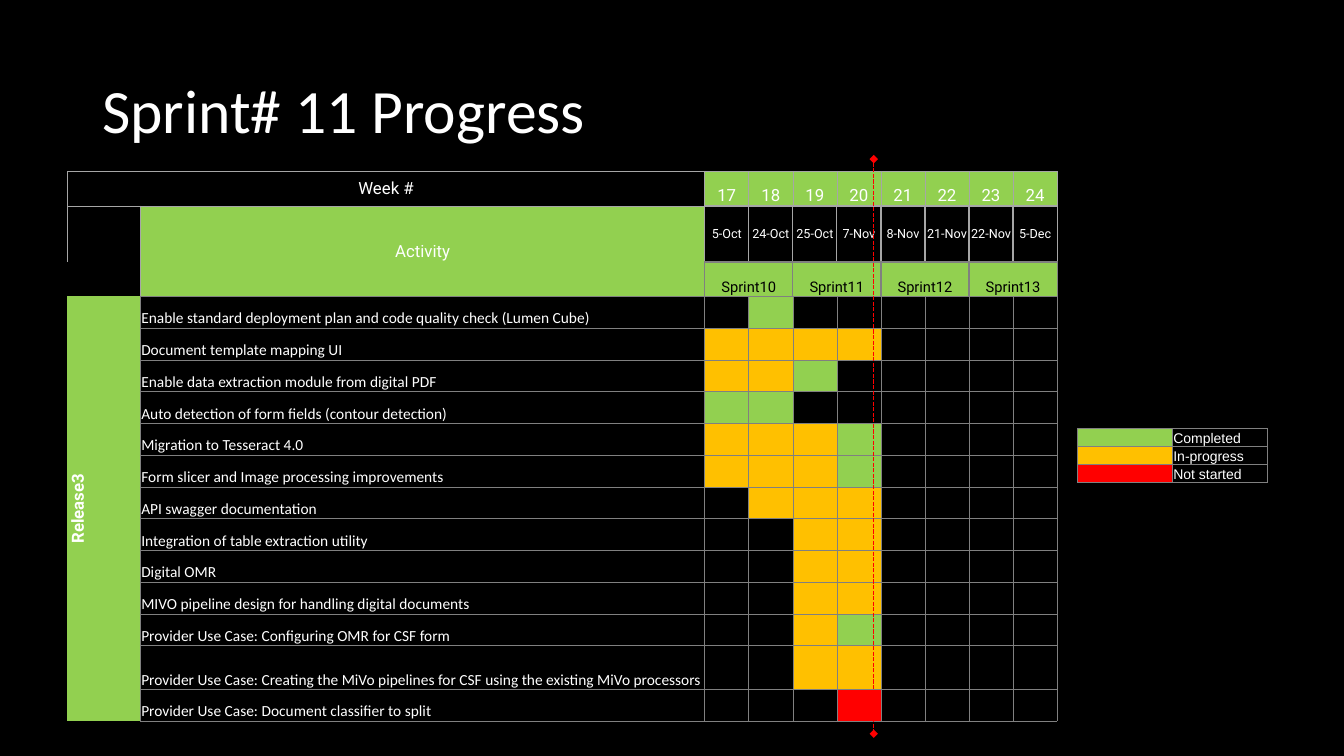
import dataclasses
import itertools
import typing

import lxml.etree
import pptx
import pptx.dml.color
import pptx.enum.dml
import pptx.enum.shapes
import pptx.enum.text
import pptx.oxml.ns
import pptx.util

Cm = pptx.util.Cm
Pt = pptx.util.Pt
Anchor = pptx.enum.text.MSO_ANCHOR
Align = pptx.enum.text.PP_ALIGN

BLACK = pptx.dml.color.RGBColor(0x00, 0x00, 0x00)
WHITE = pptx.dml.color.RGBColor(0xFF, 0xFF, 0xFF)
GREEN = pptx.dml.color.RGBColor(0x92, 0xD0, 0x50)
AMBER = pptx.dml.color.RGBColor(0xFF, 0xC0, 0x00)
RED = pptx.dml.color.RGBColor(0xFF, 0x00, 0x00)
GREY = pptx.dml.color.RGBColor(0x80, 0x80, 0x80)
SILVER = pptx.dml.color.RGBColor(0xA6, 0xA6, 0xA6)

SIDES = "LRTB"
STATUS_FILLS = {"-": BLACK, "C": GREEN, "P": AMBER, "N": RED}


class Edge(typing.NamedTuple):
    color: pptx.dml.color.RGBColor
    width: float


class Activity(typing.NamedTuple):
    name: str
    weeks: str


@dataclasses.dataclass
class Label:
    text: str
    font: dict
    align: Align = Align.CENTER
    anchor: Anchor = Anchor.MIDDLE


@dataclasses.dataclass
class Block:
    row: int
    column: int
    fill: pptx.dml.color.RGBColor
    edges: dict
    label: Label | None = None
    rows: int = 1
    columns: int = 1
    vertical: bool = False


def font_format(name: str, size: float, bold: bool = False) -> dict:
    return {"name": name, "size": Pt(size), "bold": bold}


HEADING = font_format("Roboto", 12)
DATE = font_format("Roboto", 9)
SPRINT = font_format("Roboto", 10.5)
RELEASE = font_format("Roboto", 12, True)
ACTIVITY = font_format("Calibri", 11)
LEGEND = font_format("Arial", 10)
TITLE = font_format("Calibri", 44)

WEEKS = range(17, 25)
DATES = ["5-Oct", "24-Oct", "25-Oct", "7-Nov", "8-Nov", "21-Nov", "22-Nov", "5-Dec"]
SPRINTS = range(10, 14)
FIRST_WEEK = 2
FIRST_ACTIVITY = 3
ACTIVITIES = [
    Activity("Enable standard deployment plan and code quality check (Lumen Cube)", "-C"),
    Activity("Document template mapping UI", "PPPP"),
    Activity("Enable data extraction module from digital PDF", "PPC"),
    Activity("Auto detection of form fields (contour detection)", "CC"),
    Activity("Migration to Tesseract 4.0", "PPPC"),
    Activity("Form slicer and Image processing improvements", "PPPC"),
    Activity("API swagger documentation", "-PPP"),
    Activity("Integration of table extraction utility", "--PP"),
    Activity("Digital OMR", "--PP"),
    Activity("MIVO pipeline design for handling digital documents", "--PP"),
    Activity("Provider Use Case: Configuring OMR for CSF form", "--PC"),
    Activity("Provider Use Case: Creating the MiVo pipelines for CSF using the existing MiVo processors", "--PP"),
    Activity("Provider Use Case: Document classifier to split", "---N"),
]
STATUSES = {"Completed": GREEN, "In-progress": AMBER, "Not started": RED}


def apply(target: typing.Any, values: dict) -> None:
    for name, value in values.items():
        setattr(target, name, value)


def edges(color: pptx.dml.color.RGBColor, width: float, sides: str = SIDES, **special: Edge) -> dict:
    return {side: Edge(color, width) for side in sides} | special


def add_child(parent: typing.Any, tag: str, **values: str) -> typing.Any:
    return lxml.etree.SubElement(parent, pptx.oxml.ns.qn(tag), values)


def write(frame: typing.Any, label: Label, color: pptx.dml.color.RGBColor) -> None:
    para = frame.paragraphs[0]
    para.alignment = label.align
    span = para.add_run()
    span.text = label.text
    apply(span.font, label.font)
    span.font.color.rgb = color


def draw_edges(cell: typing.Any, sides: dict) -> None:
    properties = cell._tc.get_or_add_tcPr()
    for index, side in enumerate(SIDES):
        edge = sides.get(side)
        width = Pt(edge.width) if edge else 0
        line = add_child(properties, f"a:ln{side}", w=str(width))
        if edge:
            add_child(add_child(line, "a:solidFill"), "a:srgbClr", val=str(edge.color))
        else:
            add_child(line, "a:noFill")
        properties.insert(index, line)


def draw_block(table: typing.Any, block: Block, color: pptx.dml.color.RGBColor = WHITE) -> None:
    last_row = block.row + block.rows - 1
    last_column = block.column + block.columns - 1
    origin = table.cell(block.row, block.column)
    if block.rows * block.columns > 1:
        origin.merge(table.cell(last_row, last_column))
    for row, column in itertools.product(range(block.row, last_row + 1), range(block.column, last_column + 1)):
        cell = table.cell(row, column)
        apply(cell, {"margin_left": Cm(0.02), "margin_right": Cm(0.02), "margin_top": Cm(0.02), "margin_bottom": 0})
        cell.fill.solid()
        cell.fill.fore_color.rgb = block.fill
        outer = {"L": column == block.column, "R": column == last_column, "T": row == block.row, "B": row == last_row}
        is_origin = (row, column) == (block.row, block.column)
        draw_edges(cell, {side: edge for side, edge in block.edges.items() if is_origin or outer[side]})
        if not (is_origin and block.label):
            add_child(cell.text_frame.paragraphs[0]._p, "a:endParaRPr", sz="800")
    if block.label:
        origin.vertical_anchor = block.label.anchor
        write(origin.text_frame, block.label, color)
    if block.vertical:
        origin._tc.get_or_add_tcPr().set("vert", "vert270")


def add_grid(page: typing.Any, left: float, top: float, widths: list[float], heights: list[float]) -> typing.Any:
    table = page.shapes.add_table(
        len(heights), len(widths), Cm(left), Cm(top), Cm(sum(widths)), Cm(sum(heights))
    ).table
    apply(table, {"first_row": False, "horz_banding": False})
    for column, width in zip(table.columns, widths):
        column.width = Cm(width)
    for row, height in zip(table.rows, heights):
        row.height = Cm(height)
    return table


def draw_schedule(page: typing.Any) -> None:
    heights = [0.87, 1.41, 0.87] + [0.8] * 11 + [1.1, 0.8]
    table = add_grid(page, 1.7, 4.32, [1.84, 14.22] + [1.11] * len(WEEKS), heights)
    thick = Edge(GREY, 1)
    draw_block(table, Block(0, 0, BLACK, edges(SILVER, 0.5), Label("Week #", HEADING), columns=2))
    draw_block(table, Block(1, 0, BLACK, edges(SILVER, 0.5, "LTR")))
    draw_block(table, Block(2, 0, BLACK, edges(SILVER, 0.5, "R")))
    draw_block(table, Block(1, 1, GREEN, edges(SILVER, 0.5, "LT", B=thick), Label("Activity", HEADING), rows=2))
    for column, (week, date) in enumerate(zip(WEEKS, DATES), FIRST_WEEK):
        top = Edge(SILVER, 1 if week <= 20 else 0.5)
        label = Label(str(week), HEADING, anchor=Anchor.BOTTOM)
        draw_block(table, Block(0, column, GREEN, edges(SILVER, 0.5, T=top, B=Edge(SILVER, 1)), label))
        draw_block(table, Block(1, column, BLACK, edges(SILVER, 1, B=thick), Label(date, DATE)))
    for index, sprint in enumerate(SPRINTS):
        label = Label(f"Sprint{sprint}", SPRINT, anchor=Anchor.BOTTOM)
        draw_block(table, Block(2, FIRST_WEEK + 2 * index, GREEN, edges(GREY, 1), label, columns=2), BLACK)
    release = Label("Release3", RELEASE)
    draw_block(table, Block(FIRST_ACTIVITY, 0, GREEN, {"R": thick}, release, rows=len(ACTIVITIES), vertical=True))
    for row, activity in enumerate(ACTIVITIES, FIRST_ACTIVITY):
        top = Edge(GREY, 1 if row == FIRST_ACTIVITY else 0.5)
        label = Label(activity.name, ACTIVITY, Align.LEFT, Anchor.BOTTOM)
        draw_block(table, Block(row, 1, BLACK, edges(GREY, 0.5, L=thick, T=top), label))
        for column, status in enumerate(activity.weeks.ljust(len(WEEKS), "-"), FIRST_WEEK):
            draw_block(table, Block(row, column, STATUS_FILLS[status], edges(GREY, 0.5, T=top)))


def draw_legend(page: typing.Any) -> None:
    table = add_grid(page, 27.15, 10.8, [2.4] * 2, [0.45] * len(STATUSES))
    for row, (status, fill) in enumerate(STATUSES.items()):
        draw_block(table, Block(row, 0, fill, edges(GREY, 0.5)))
        label = Label(status, LEGEND, Align.LEFT, Anchor.BOTTOM)
        draw_block(table, Block(row, 1, BLACK, edges(GREY, 0.5), label))


def draw_title(page: typing.Any) -> None:
    box = page.shapes.add_textbox(Cm(2.33), Cm(1.01), Cm(29.21), Cm(3.68))
    apply(box.text_frame, {"word_wrap": True, "vertical_anchor": Anchor.MIDDLE})
    write(box.text_frame, Label("Sprint# 11 Progress", TITLE, Align.LEFT), WHITE)
    box.text_frame.paragraphs[0].line_spacing = 0.9


def draw_today(page: typing.Any) -> None:
    today = page.shapes.add_connector(
        pptx.enum.shapes.MSO_CONNECTOR.STRAIGHT, Cm(22.02), Cm(4.01), Cm(22.02), Cm(18.49)
    )
    today.line.color.rgb = RED
    apply(today.line, {"width": Pt(1), "dash_style": pptx.enum.dml.MSO_LINE.SQUARE_DOT})
    for end in ("a:headEnd", "a:tailEnd"):
        add_child(today.line._get_or_add_ln(), end, type="diamond")
    add_child(today._element.spPr, "a:effectLst")


deck = pptx.Presentation()
apply(deck, {"slide_width": Cm(33.87), "slide_height": Cm(19.05)})
page = deck.slides.add_slide(deck.slide_layouts[6])
page.background.fill.solid()
page.background.fill.fore_color.rgb = BLACK
draw_schedule(page)
draw_title(page)
draw_legend(page)
draw_today(page)
deck.save("out.pptx")
